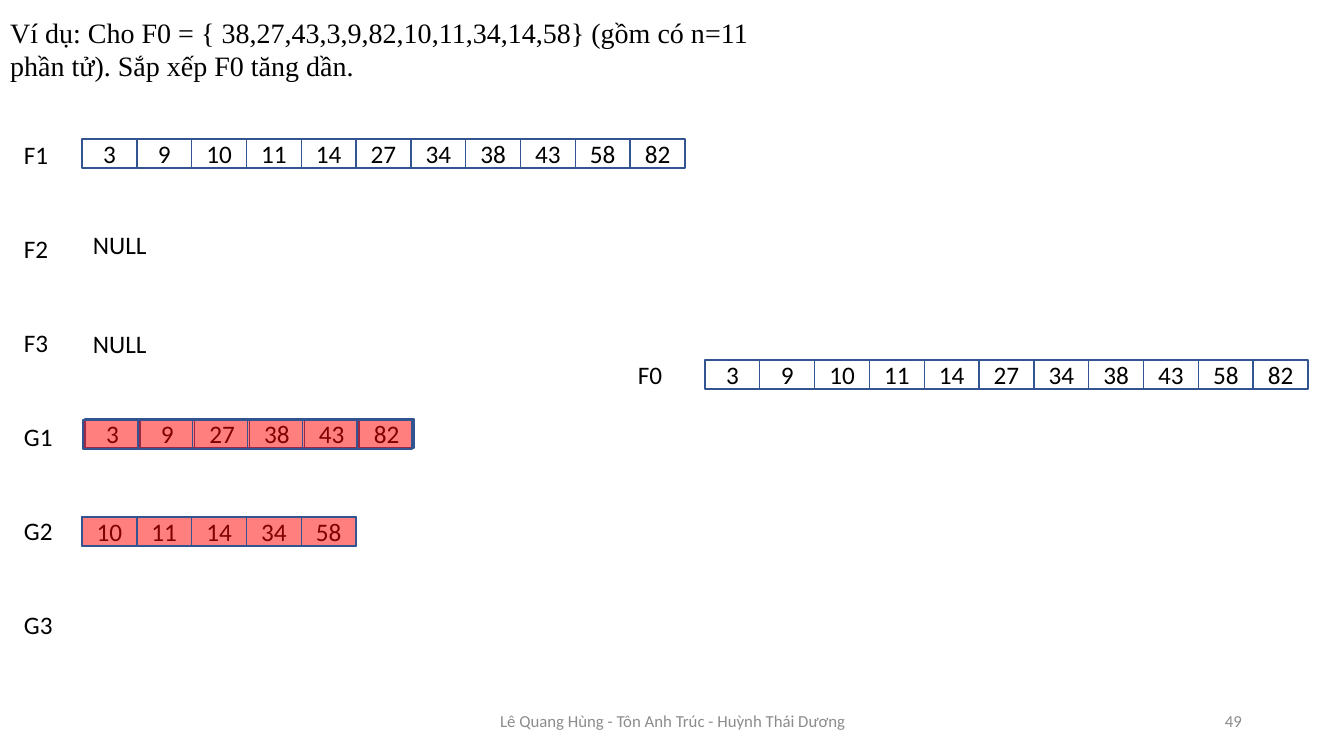
from pptx import Presentation
from pptx.dml.color import RGBColor
from pptx.enum.shapes import MSO_SHAPE
from pptx.enum.text import MSO_ANCHOR, MSO_AUTO_SIZE, PP_ALIGN
from pptx.oxml.ns import qn
from pptx.util import Pt
from lxml.etree import SubElement

# Content
TITLE = ("Ví dụ: Cho F0 = { 38,27,43,3,9,82,10,11,34,14,58} (gồm có n=11 "
         "phần tử). Sắp xếp F0 tăng dần.")
FILES = ["F1", "F2", "F3", "G1", "G2", "G3"]
SORTED = [3, 9, 10, 11, 14, 27, 34, 38, 43, 58, 82]
# left, top, values, offset of the red tint (None: no tint)
ROWS = [
    (85, 419, [3, 9, 27, 38, 43, 82], (-2, 1)),
    (82, 517, [10, 11, 14, 34, 58], (0, 0)),
    (705, 360, SORTED, None),
    (82, 139, SORTED, None),
]
EMPTY = [("NULL", 83, 224), ("NULL", 83, 323)]
FOOT = [
    ("Lê Quang Hùng - Tôn Anh Trúc - Huỳnh Thái Dương", 446, 454, PP_ALIGN.CENTER),
    ("49", 950, 302, PP_ALIGN.RIGHT),
]
COLORS = {"text": "000000", "foot": "8C8C8C", "cell": "FFFFFF",
          "line": "325491", "tint": "FF0000"}

# Layout in px
PX = 914400 / 100.8
CELL = 603 / len(SORTED)
HIGH = 29


def emu(*vals):
    return [round(v * PX) for v in vals]


def color(name):
    return RGBColor.from_string(COLORS[name])


def write(shape, text, size=18, font="Calibri", tone="text",
          align=PP_ALIGN.LEFT, anchor=MSO_ANCHOR.TOP):
    frame = shape.text_frame
    frame.word_wrap = True
    frame.auto_size = MSO_AUTO_SIZE.NONE
    frame.vertical_anchor = anchor
    para = frame.paragraphs[0]
    para.alignment = align
    run = para.add_run()
    run.text = text
    run.font.size = Pt(size)
    run.font.name = font
    run.font.color.rgb = color(tone)


def label(text, left, top, width=72, **style):
    write(slide.shapes.add_textbox(*emu(left, top, width, 40)), text, **style)


def cell(left, top, fill):
    box = slide.shapes.add_shape(MSO_SHAPE.RECTANGLE, *emu(left, top, CELL, HIGH))
    box.shadow.inherit = False
    box.fill.solid()
    box.fill.fore_color.rgb = color(fill)
    box.line.color.rgb = color("line")
    box.line.width = Pt(1)
    return box


def fade(box):
    tone = box.fill._xPr.find(qn("a:solidFill"))[0]
    SubElement(tone, qn("a:alpha")).set("val", "50000")


deck = Presentation()
deck.slide_width, deck.slide_height = emu(1344, 756)
slide = deck.slides.add_slide(deck.slide_layouts[5])

# Title
title = slide.shapes.title
title.left, title.top, title.width, title.height = emu(0, 10, 761, 78)
write(title, TITLE, size=20, font="Times New Roman")

# File names
for i, name in enumerate(FILES):
    label(name, 14, 134 + 94 * i)
label("F0", 628, 354)

# Rows of cells, with tint over the used ones
for left, top, vals, shift in ROWS:
    for i, val in enumerate(vals):
        write(cell(left + i * CELL, top, "cell"), str(val),
              align=PP_ALIGN.CENTER, anchor=MSO_ANCHOR.MIDDLE)
    if shift:
        for i in range(len(vals)):
            fade(cell(left + shift[0] + i * CELL, top + shift[1], "tint"))

# Empty files
for text, left, top in EMPTY:
    label(text, left, top, 92)

# Footer and page number
for text, left, width, align in FOOT:
    label(text, left, 701, width, size=12, tone="foot", align=align,
          anchor=MSO_ANCHOR.MIDDLE)

deck.save("out.pptx")
